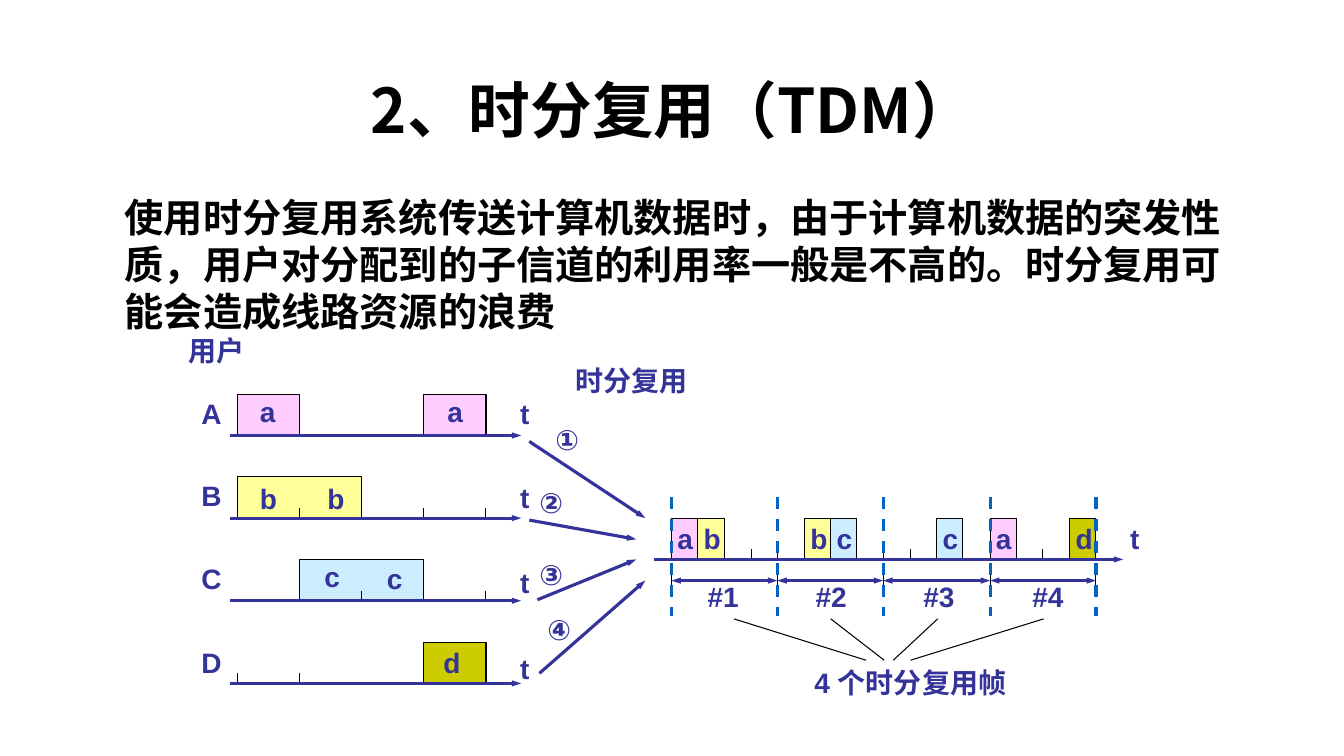
from dataclasses import dataclass

from lxml import etree
from pptx import Presentation, util as u
from pptx.dml.color import RGBColor
from pptx.enum import dml, text
from pptx.enum.shapes import MSO_CONNECTOR
from pptx.oxml.ns import qn

PX = 9144


@dataclass(frozen=True)
class Theme:
    """Colours, fonts and type sizes of the slide."""
    ink: str = "000000"
    signal: str = "333399"
    boundary: str = "0563C1"
    latin: str = "Arial"
    chinese: str = "Noto Sans CJK SC"
    title: int = 44
    body: int = 28
    label: int = 20
    thin: float = 0.75
    thick: float = 2.25


THEME = Theme()
USER_FILLS = {"a": "FFCCFF", "b": "FFFF99", "c": "CCECFF", "d": "CCCC00"}
LABEL_WIDTHS = {"a": 36, "b": 37, "c": 36, "d": 37, "t": 29}
USERS = [
    ("A", "a", [(0, 1), (3, 4)], [], [(71, -46), (257, -46)]),
    ("B", "b", [(0, 2)], [1, 3, 4], [(71, -41), (138, -41)]),
    ("C", "c", [(1, 3)], [2, 4], [(135, -46), (197, -44)]),
    ("D", "d", [(3, 4)], [0, 1, 3], [(253, -43)]),
]
MUX_SLOTS = {0: "a", 1: "b", 5: "b", 6: "c", 10: "c", 12: "a", 15: "d"}
MUX_TICKS = [2, 3, 4, 8, 9, 14]
MERGES = [
    ("①", (16, 58), (0, 82), (115, 158)),
    ("②", (0, 121), (0, 160), (106, 179)),
    ("③", (0, 192), (8, 239), (106, 199)),
    ("④", (8, 247), (10, 312), (115, 220)),
]
CALLOUTS = [(79, 210), (175, 228), (281, 237), (386, 254)]


def px(*lengths):
    """Turn px lengths into EMU."""
    return [u.Emu(length * PX) for length in lengths]


def assign(target, values):
    """Set attributes from a dict of format values."""
    for name, value in values.items():
        setattr(target, name, value)


def style_run(run, size, face, colour):
    """Give a run its bold type."""
    assign(run.font, {"size": u.Pt(size), "bold": True, "name": face})
    run.font.color.rgb = RGBColor.from_string(colour)


def use_chinese_face(run):
    """Give a run the East Asian face."""
    etree.SubElement(run.font._element, qn("a:ea"), typeface=THEME.chinese)


def add_label(slide, wording, left, top, width, wrap=False):
    """Place a diagram label."""
    box = slide.shapes.add_textbox(*px(left, top, width, 44))
    assign(box.text_frame, {"word_wrap": wrap,
                            "auto_size": text.MSO_AUTO_SIZE.SHAPE_TO_FIT_TEXT})
    run = box.text_frame.paragraphs[0].add_run()
    run.text = wording
    style_run(run, THEME.label, THEME.latin, THEME.signal)


def add_line(slide, start, end, colour=THEME.ink, width=THEME.thin, ends=(), dash=None):
    """Draw a straight line with optional arrowheads."""
    line = slide.shapes.add_connector(MSO_CONNECTOR.STRAIGHT, *px(*start, *end))
    assign(line.line, {"width": u.Pt(width), "dash_style": dash})
    line.line.color.rgb = RGBColor.from_string(colour)
    for end_name in ends:
        etree.SubElement(line.line._get_or_add_ln(), qn(f"a:{end_name}"),
                         type="triangle", w="sm", len="med")
    etree.SubElement(line._element.spPr, qn("a:effectLst"))


def add_arrow(slide, start, end, ends=("tailEnd",)):
    """Draw a signal arrow."""
    add_line(slide, start, end, THEME.signal, THEME.thick, ends)


def add_pulse(slide, user, left, right, base):
    """Draw a filled time slot open along its base."""
    top = base - 41
    builder = slide.shapes.build_freeform(left, base, scale=PX)
    builder.add_line_segments([(left, top), (right, top), (right, base)], close=False)
    pulse = builder.convert_to_shape()
    pulse.shadow.inherit = False
    pulse.fill.solid()
    pulse.fill.fore_color.rgb = RGBColor.from_string(USER_FILLS[user])
    pulse.line.color.rgb = RGBColor.from_string(THEME.ink)
    pulse.line.width = u.Pt(THEME.thin)


def add_tick(slide, x, base):
    """Mark a slot boundary on an axis."""
    add_line(slide, (x, base - 10), (x, base))


def draw_title(slide, box):
    """Fill the title placeholder."""
    heading = slide.shapes.title
    assign(heading, dict(zip(("left", "top", "width", "height"), px(*box))))
    assign(heading.text_frame, {"vertical_anchor": text.MSO_ANCHOR.MIDDLE,
                                "auto_size": text.MSO_AUTO_SIZE.NONE,
                                "word_wrap": True})
    paragraph = heading.text_frame.paragraphs[0]
    assign(paragraph, {"alignment": text.PP_ALIGN.CENTER, "line_spacing": 0.9})
    run = paragraph.add_run()
    run.text = "2、时分复用（TDM）"
    style_run(run, THEME.title, THEME.chinese, THEME.ink)
    use_chinese_face(run)


def draw_summary(slide, box):
    """Write the paragraph about line utilisation."""
    summary = slide.shapes.add_textbox(*px(*box))
    summary.text_frame.word_wrap = True
    paragraph = summary.text_frame.paragraphs[0]
    paragraph.line_spacing = u.Pt(33.6)
    run = paragraph.add_run()
    run.text = ("使用时分复用系统传送计算机数据时，由于计算机数据的突发性质，"
                "用户对分配到的子信道的利用率一般是不高的。"
                "时分复用可能会造成线路资源的浪费")
    style_run(run, THEME.body, THEME.chinese, THEME.ink)
    use_chinese_face(run)


def draw_users(slide, box):
    """Draw the four user time lines."""
    left, top, width, _ = box
    slots = [left + 59 + 246 * i // 4 for i in range(5)]
    add_label(slide, "用户", left, top, 77)
    for row, (name, user, pulses, ticks, letters) in enumerate(USERS):
        base = top + 106 + 82 * row
        for first, last in pulses:
            add_pulse(slide, user, slots[first], slots[last], base)
        for slot in ticks:
            add_tick(slide, slots[slot], base)
        add_arrow(slide, (left + 51, base), (left + width - 18, base))
        add_label(slide, name, left + 13, top + 62 + 247 * row // 3, 41)
        add_label(slide, "t", left + width - 29, top + 62 + 253 * row // 3, 29)
        for dx, dy in letters:
            add_label(slide, user, left + dx, base + dy, LABEL_WIDTHS[user])


def draw_merge(slide, box):
    """Draw the numbered arrows into the shared line."""
    left, top, _, _ = box
    add_label(slide, "时分复用", left + 36, top, 133)
    for number, (dx, dy), (x1, y1), (x2, y2) in MERGES:
        add_arrow(slide, (left + x1, top + y1), (left + x2, top + y2))
        add_label(slide, number, left + dx, top + dy, 48)


def draw_multiplex(slide, box):
    """Draw the shared line with its four frames."""
    left, top, width, _ = box
    base = top + 62
    slots = [left + 17 + round(421 * i / 16) for i in range(17)]
    frames = slots[::4]
    for slot, user in MUX_SLOTS.items():
        add_pulse(slide, user, slots[slot], slots[slot + 1], base)
    for slot in MUX_TICKS:
        add_tick(slide, slots[slot], base)
    add_arrow(slide, (left, base), (left + width - 26, base))
    add_label(slide, "t", left + width - 29, base - 43, 29)
    for slot, user in MUX_SLOTS.items():
        add_label(slide, user, slots[slot] - 4, base - 43, LABEL_WIDTHS[user])
    for x in frames:
        add_line(slide, (x, top + 72), (x, top + 93))
    for i, (start, end) in enumerate(zip(frames, frames[1:])):
        add_arrow(slide, (start, top + 83), (end, top + 83), ("headEnd", "tailEnd"))
        add_label(slide, f"#{i + 1}", start + 26 + 2 * i, top + 77, 51)
    for x1, x2 in CALLOUTS:
        add_line(slide, (left + x1, top + 121), (left + x2, top + 162))
    add_label(slide, "4 个时分复用帧", left + 149, top + 162, 213, wrap=True)
    for x in frames:
        add_line(slide, (x, top), (x, top + 118), THEME.boundary, THEME.thick,
                 dash=dml.MSO_LINE.DASH)


def main():
    """Build and save the slide."""
    deck = Presentation()
    assign(deck, dict(zip(("slide_width", "slide_height"), px(1333, 750))))
    slide = deck.slides.add_slide(deck.slide_layouts[5])
    draw_users(slide, (177, 326, 358, 382))
    draw_merge(slide, (525, 356, 169, 312))
    draw_multiplex(slide, (649, 493, 491, 206))
    draw_summary(slide, (114, 187, 1126, 150))
    draw_title(slide, (92, 40, 1150, 145))
    deck.save("out.pptx")


if __name__ == "__main__":
    main()
